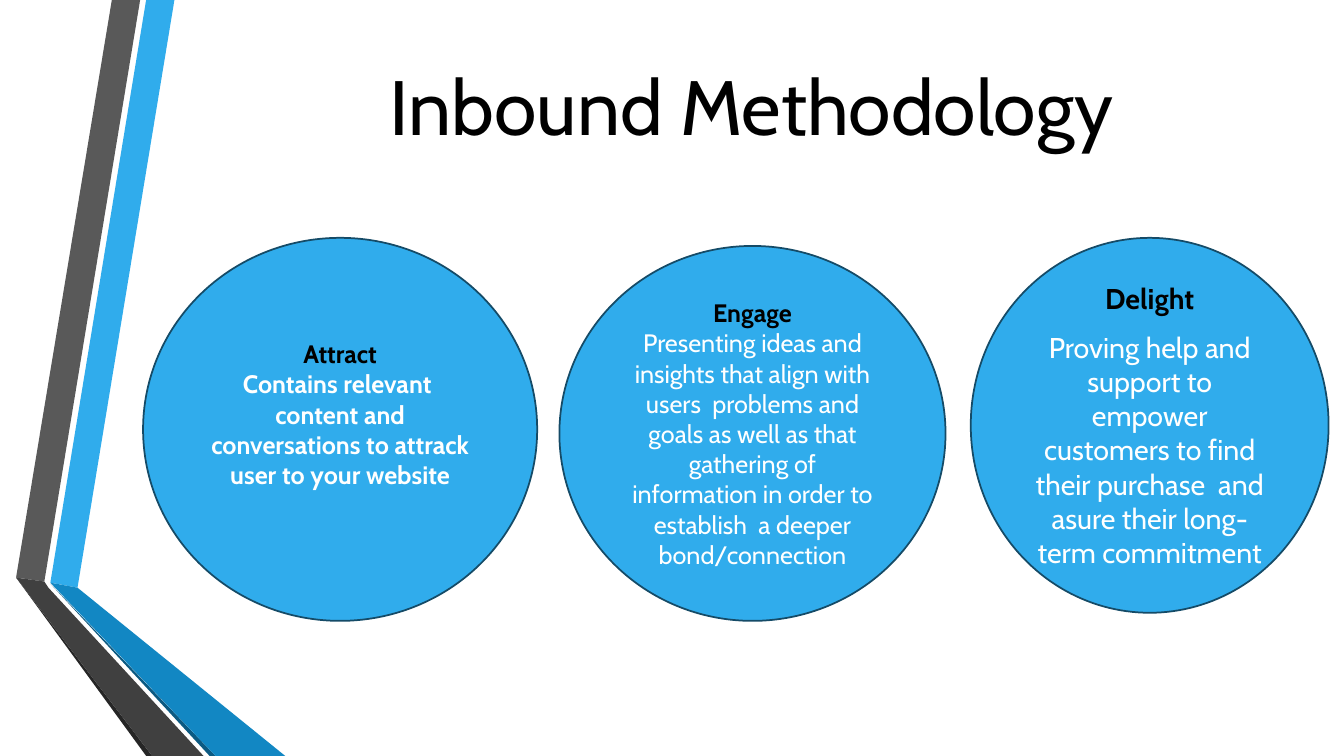
from pptx import Presentation
from pptx.dml.color import RGBColor
from pptx.enum.shapes import MSO_SHAPE as SHAPE
from pptx.enum.text import MSO_ANCHOR as ANCHOR, PP_ALIGN as ALIGN
from pptx.util import Pt

BLUE = RGBColor(0x30, 0xAC, 0xEC)
MID_BLUE = RGBColor(0x12, 0x87, 0xC3)
NAVY = RGBColor(0x0C, 0x5A, 0x82)
OUTLINE = RGBColor(0x15, 0x4B, 0x67)
GRAY = RGBColor(0x59, 0x59, 0x59)
DARK_GRAY = RGBColor(0x40, 0x40, 0x40)
CHARCOAL = RGBColor(0x26, 0x26, 0x26)
BLACK = RGBColor(0, 0, 0)
WHITE = RGBColor(0xFF, 0xFF, 0xFF)


def add_text(p, text, size, color, bold=False):
    p.alignment = ALIGN.CENTER
    r = p.add_run()
    r.text = text
    r.font.name = "Cabin"
    r.font.size = Pt(size)
    r.font.bold = bold
    r.font.color.rgb = color


prs = Presentation()
prs.slide_width, prs.slide_height = Pt(960), Pt(540)
s = prs.slides.add_slide(prs.slide_layouts[6])

# Folded ribbons on the left, back to front
ribbons = [
    (BLUE, [(36, 416.2), (55.4, 419.8), (124.6, 0), (104.4, 0)]),
    (GRAY, [(100.1, 0), (79.9, 0), (11.5, 412.6), (31.7, 415.4)]),
    (CHARCOAL, [(11.5, 412.6), (104.4, 540), (108.7, 540)]),
    (NAVY, [(36, 416.9), (149.8, 540), (154.1, 540)]),
    (MID_BLUE, [(36, 416.2), (154.1, 540), (203.8, 540), (55.4, 419.8)]),
    (DARK_GRAY, [(145.4, 540), (34.6, 419.8), (31.7, 415.4), (11.5, 412.6),
                 (108.7, 540)]),
]
for color, corners in ribbons:
    points = [(Pt(x), Pt(y)) for x, y in corners]
    builder = s.shapes.build_freeform(*points[0])
    builder.add_line_segments(points[1:], close=True)
    sp = builder.convert_to_shape()
    sp.shadow.inherit = False
    sp.fill.solid()
    sp.fill.fore_color.rgb = color
    sp.line.fill.background()

# Title
tf = s.shapes.add_textbox(Pt(206), Pt(28.8), Pt(661.7), Pt(92.2)).text_frame
tf.word_wrap = True
tf.vertical_anchor = ANCHOR.MIDDLE
add_text(tf.paragraphs[0], "Inbound Methodology", 55, BLACK)

# Stages: box, heading, description, size, bold description, gaps, bottom inset
stages = [
    ((102.2, 169.9, 281.5, 273.6), "Attract",
     "Contains relevant  content and conversations to attrack user to your "
     "website", 18, True, 0, 0, 25.5),
    ((399.6, 175.7, 275.8, 267.8), "Engage",
     "Presenting ideas and insights that align with users  problems and goals "
     "as well as that gathering of information in order to establish  a deeper "
     "bond/connection", 18, False, 0, 0, 3.6),
    ((693.4, 169.9, 255.6, 267.8), "Delight",
     "Proving help and support to empower customers to find their purchase  "
     "and asure their long-term commitment", 20.4, False, 6, 4, 3.6),
]
for box, heading, description, size, bold, after, before, inset in stages:
    sp = s.shapes.add_shape(SHAPE.OVAL, *[Pt(v) for v in box])
    sp.shadow.inherit = False
    sp.fill.solid()
    sp.fill.fore_color.rgb = BLUE
    sp.line.color.rgb = OUTLINE
    sp.line.width = Pt(1.25)
    tf = sp.text_frame
    tf.word_wrap = True
    tf.vertical_anchor = ANCHOR.MIDDLE
    tf.margin_bottom = Pt(inset)
    p = tf.paragraphs[0]
    p.space_after = Pt(after)
    add_text(p, heading, size, BLACK, True)
    p = tf.add_paragraph()
    p.space_before = Pt(before)
    add_text(p, description, size, WHITE, bold)

prs.save("out.pptx")
